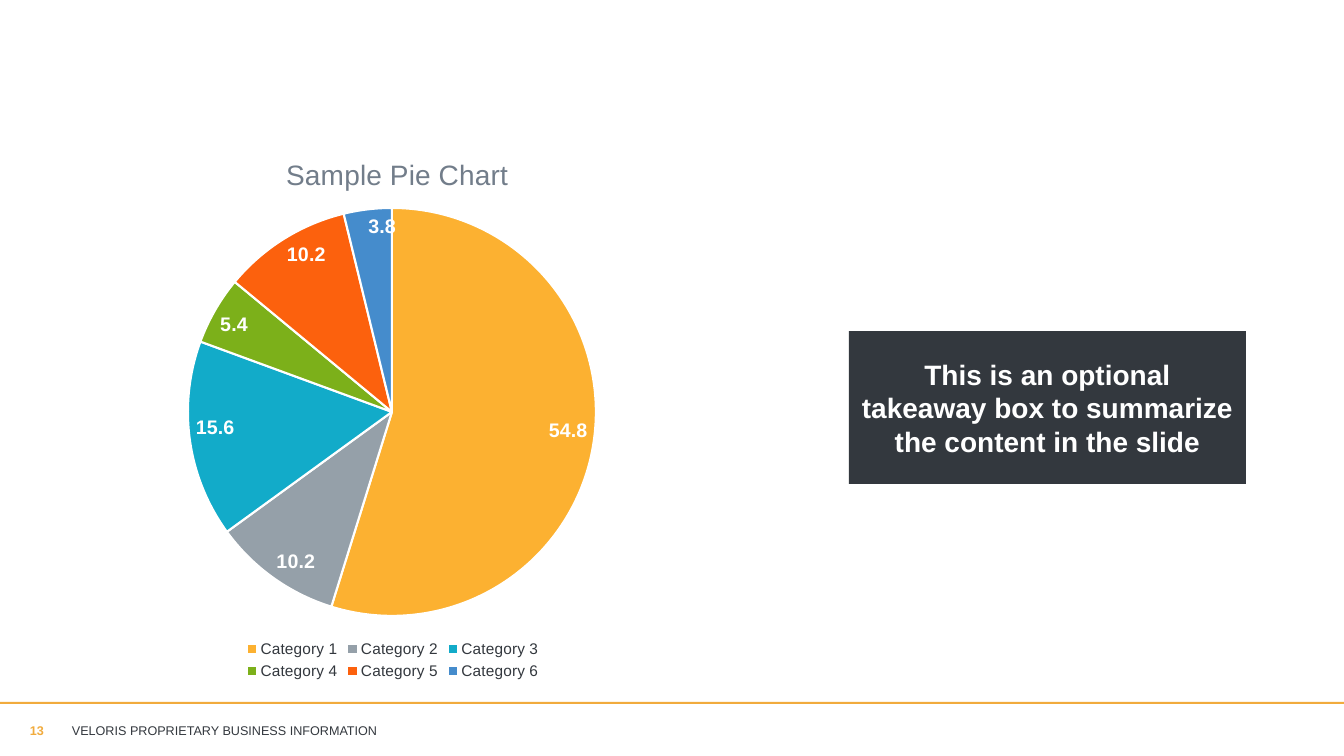
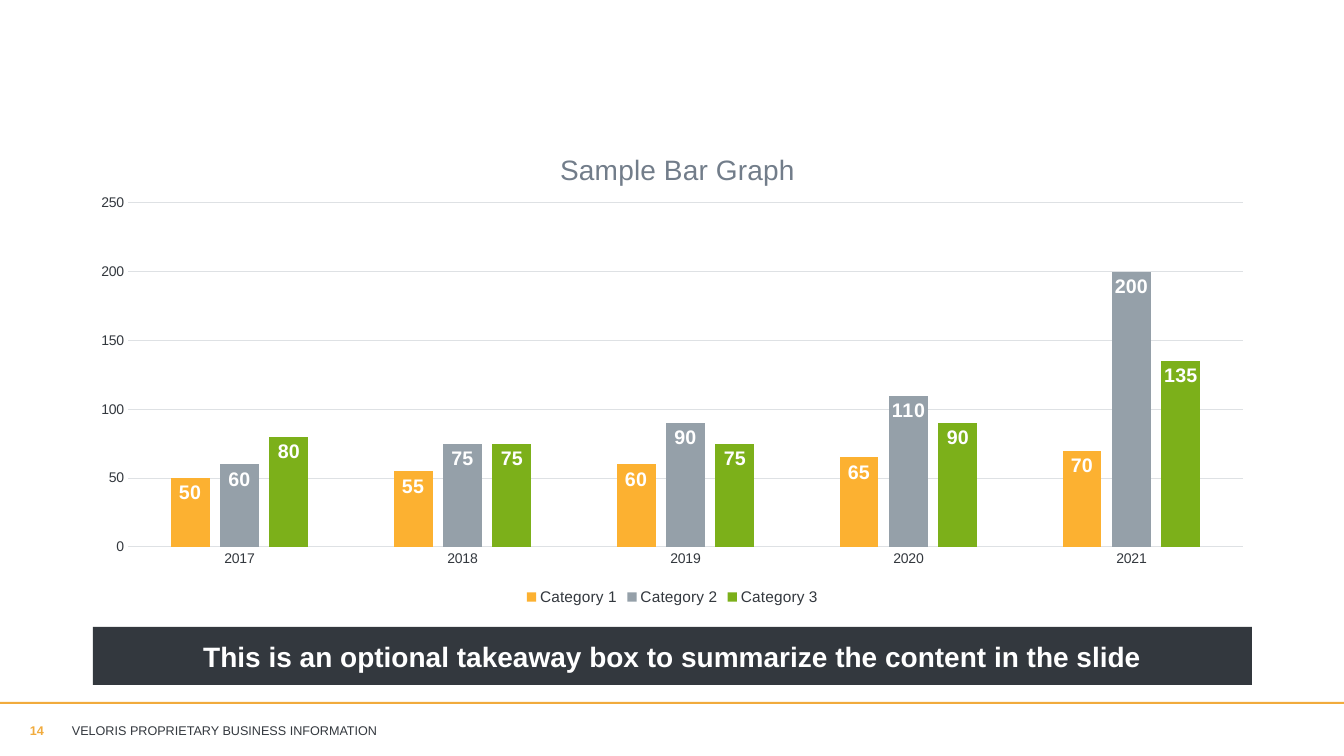
import pptx
import pptx.chart.data
import pptx.dml.color
import pptx.enum.chart
import pptx.enum.shapes
import pptx.enum.text
import pptx.oxml
import pptx.oxml.ns
import pptx.util

PX = 914400 / 100.8
FONT = "Arial"
COLORS = {
    "white": "FFFFFF",
    "dark": "33383E",
    "title": "727D8A",
    "grid": "DEE1E4",
    "accent": "F1AB3D",
    "amber": "FCB131",
    "gray": "95A0A9",
    "teal": "12ABC9",
    "green": "7CB01A",
    "orange": "FC610D",
    "blue": "458CCC",
}
RGB = {name: pptx.dml.color.RGBColor.from_string(value) for name, value in COLORS.items()}
TAKEAWAY = "This is an optional takeaway box to summarize the content in the slide"
FOOTER = "VELORIS PROPRIETARY BUSINESS INFORMATION"
CHART_TYPE = pptx.enum.chart.XL_CHART_TYPE
ANCHOR = pptx.enum.text.MSO_ANCHOR
RECTANGLE = pptx.enum.shapes.MSO_SHAPE.RECTANGLE

charts = [
    {
        "number": "13",
        "type": CHART_TYPE.PIE,
        "title": "Sample Pie Chart",
        "categories": [f"Category {index}" for index in range(1, 7)],
        "series": {"Sample Pie Chart": [54.8, 10.2, 15.6, 5.4, 10.2, 3.8]},
        "colors": ["amber", "gray", "teal", "green", "orange", "blue"],
        "frame": (87, 128, 612, 556),
        "title_at": (281, 152),
        "plot": (188, 208, 408, 408),
        "takeaway": (849, 331, 397, 153),
    },
    {
        "number": "14",
        "type": CHART_TYPE.COLUMN_CLUSTERED,
        "title": "Sample Bar Graph",
        "categories": ["2017", "2018", "2019", "2020", "2021"],
        "series": {
            "Category 1": [50, 55, 60, 65, 70],
            "Category 2": [60, 75, 90, 110, 200],
            "Category 3": [80, 75, 75, 90, 135],
        },
        "colors": ["amber", "gray", "green"],
        "frame": (78, 129, 1189, 481),
        "title_at": (555, 147),
        "plot": (128, 203, 1115, 344),
        "takeaway": (93, 627, 1159, 58),
    },
]


def style(font, size, color, bold=False):
    font.name = FONT
    font.size = pptx.util.Pt(size)
    font.bold = bold
    font.color.rgb = RGB[color]


def set_layout(parent, index, frame, box):
    for old in parent.findall(pptx.oxml.ns.qn("c:layout")):
        parent.remove(old)
    left, top, width, height = frame
    fractions = [(box[0] - left) / width, (box[1] - top) / height]
    fractions += [length / total for length, total in zip(box[2:], (width, height))]
    target = '<c:layoutTarget val="inner"/>' if len(box) == 4 else ""
    modes = '<c:xMode val="edge"/><c:yMode val="edge"/>'
    values = "".join(f'<c:{key} val="{value:.4f}"/>' for key, value in zip("xywh", fractions))
    parent.insert(index, pptx.oxml.parse_xml(
        f'<c:layout {pptx.oxml.ns.nsdecls("c")}><c:manualLayout>'
        f"{target}{modes}{values}</c:manualLayout></c:layout>"))


presentation = pptx.Presentation()
presentation.slide_width = round(1344 * PX)
presentation.slide_height = round(756 * PX)

for content in charts:
    slide = presentation.slides.add_slide(presentation.slide_layouts[6])

    for box, color, text in (((0, 702, 1344, 2), "accent", ""),
                             (content["takeaway"], "dark", TAKEAWAY)):
        shape = slide.shapes.add_shape(RECTANGLE, *[round(length * PX) for length in box])
        shape.shadow.inherit = False
        shape.fill.solid()
        shape.fill.fore_color.rgb = RGB[color]
        shape.line.fill.background()
        if text:
            shape.text_frame.text = text
            shape.text_frame.word_wrap = True
            shape.text_frame.vertical_anchor = ANCHOR.MIDDLE
            paragraph = shape.text_frame.paragraphs[0]
            paragraph.alignment = pptx.enum.text.PP_ALIGN.CENTER
            style(paragraph.runs[0].font, 20, "white", True)

    for box, text, color, bold, anchor in (
            ((62, 711, 432, 40), FOOTER, "dark", False, ANCHOR.MIDDLE),
            ((20, 718, 49, 40), content["number"], "accent", True, ANCHOR.TOP)):
        text_box = slide.shapes.add_textbox(*[round(length * PX) for length in box])
        text_box.text_frame.text = text
        text_box.text_frame.word_wrap = True
        text_box.text_frame.vertical_anchor = anchor
        style(text_box.text_frame.paragraphs[0].runs[0].font, 9, color, bold)

    chart_data = pptx.chart.data.CategoryChartData()
    chart_data.categories = content["categories"]
    for name, values in content["series"].items():
        chart_data.add_series(name, values)
    frame = content["frame"]
    chart = slide.shapes.add_chart(
        content["type"], *[round(length * PX) for length in frame], chart_data).chart
    style(chart.font, 10, "dark")

    chart.has_title = True
    chart.chart_title.text_frame.text = content["title"]
    style(chart.chart_title.text_frame.paragraphs[0].runs[0].font, 20, "title")
    set_layout(chart.chart_title._element, 1, frame, content["title_at"])
    set_layout(chart._chartSpace.chart.plotArea, 0, frame, content["plot"])

    chart.has_legend = True
    chart.legend.position = pptx.enum.chart.XL_LEGEND_POSITION.BOTTOM
    chart.legend.include_in_layout = False
    style(chart.legend.font, 11, "dark")

    plot = chart.plots[0]
    is_pie = content["type"] == CHART_TYPE.PIE
    plot.vary_by_categories = is_pie
    if is_pie:
        parts = [plot.series[0].points[index] for index in range(len(content["colors"]))]
    else:
        parts = list(plot.series)
    for part, color in zip(parts, content["colors"]):
        part.format.fill.solid()
        part.format.fill.fore_color.rgb = RGB[color]
        if is_pie:
            part.format.line.color.rgb = RGB["white"]
            part.format.line.width = pptx.util.Pt(1.5)
    for series in plot.series:
        labels = series.data_labels
        labels.show_value = True
        labels.position = pptx.enum.chart.XL_LABEL_POSITION.INSIDE_END
        style(labels.font, 14, "white", True)

    if not is_pie:
        plot.gap_width = 219
        plot.overlap = -27
        for axis in (chart.category_axis, chart.value_axis):
            axis.major_tick_mark = pptx.enum.chart.XL_TICK_MARK.NONE
            axis.minor_tick_mark = pptx.enum.chart.XL_TICK_MARK.NONE
            style(axis.tick_labels.font, 10, "dark")
        chart.value_axis.maximum_scale = 250
        chart.value_axis.minimum_scale = 0
        chart.value_axis.major_unit = 50
        chart.value_axis.has_major_gridlines = True
        chart.value_axis.format.line.fill.background()
        for line in (chart.category_axis.format.line,
                     chart.value_axis.major_gridlines.format.line):
            line.color.rgb = RGB["grid"]
            line.width = pptx.util.Pt(0.75)

presentation.save("out.pptx")
